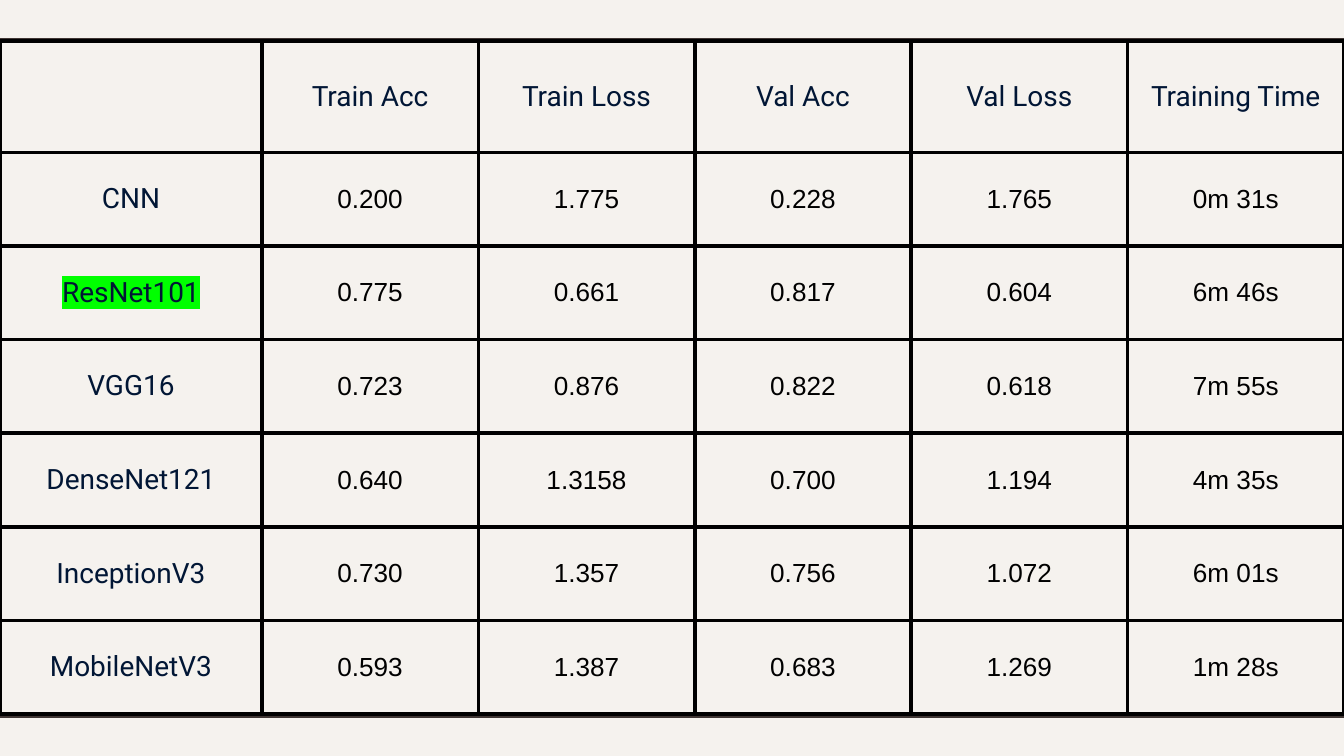
"""Build a slide with a table comparing the training results of six networks."""
import pptx
import pptx.dml.color
import pptx.enum.shapes
import pptx.enum.text
import pptx.oxml
import pptx.oxml.ns
import pptx.util

Cm, Pt = pptx.util.Cm, pptx.util.Pt

ROWS = [
    ("", "Train Acc", "Train Loss", "Val Acc", "Val Loss", "Training Time"),
    ("CNN", "0.200", "1.775", "0.228", "1.765", "0m 31s"),
    ("ResNet101", "0.775", "0.661", "0.817", "0.604", "6m 46s"),
    ("VGG16", "0.723", "0.876", "0.822", "0.618", "7m 55s"),
    ("DenseNet121", "0.640", "1.3158", "0.700", "1.194", "4m 35s"),
    ("InceptionV3", "0.730", "1.357", "0.756", "1.072", "6m 01s"),
    ("MobileNetV3", "0.593", "1.387", "0.683", "1.269", "1m 28s"),
]
BEST = "ResNet101"
PAPER, RULE, GRID, MARK = "F5F2EE", "3F3533", "000000", "00FF00"
HEAD = {"size": Pt(15), "name": "Roboto"}, "011635"
DATA = {"size": Pt(14), "name": "Arial"}, "000000"
CELL = {
    "margin_left": Cm(0.25), "margin_right": Cm(0.25),
    "margin_top": Cm(0.25), "margin_bottom": Cm(0.25),
    "vertical_anchor": pptx.enum.text.MSO_ANCHOR.MIDDLE,
}
WIDE, HIGH, TOP = 25.4, 14.29, 0.77
COLS = [4.95] + [4.09] * 5
TALL = [2.11] + [1.77] * 6
RULES = (0.76, 13.54)
OVER = 0.2


def tint(color, code):
    """Set a colour from a hex string."""
    color.rgb = pptx.dml.color.RGBColor.from_string(code)


def apply(item, style):
    """Set each attribute named in a dict."""
    for key, value in style.items():
        setattr(item, key, value)


def node(tag, inner, attrs=""):
    """Make a drawing element from its tag, content and attributes."""
    space = pptx.oxml.ns.nsdecls("a")
    return pptx.oxml.parse_xml(f"<a:{tag} {space} {attrs}>{inner}</a:{tag}>")


def rule(slide, y):
    """Draw a line across the slide."""
    kind = pptx.enum.shapes.MSO_CONNECTOR.STRAIGHT
    line = slide.shapes.add_connector(kind, Cm(-OVER), Cm(y), Cm(WIDE + OVER), Cm(y))
    line.line.width = Pt(2.25)
    tint(line.line.color, RULE)
    line._element.spPr.append(node("effectLst", ""))


def frame(cell):
    """Give a cell its four borders and no fill."""
    paint = f'<a:solidFill><a:srgbClr val="{GRID}"/></a:solidFill>'
    for side in "LRTB":
        edge = node(f"ln{side}", paint, f'w="{Pt(2.25)}"')
        cell._tc.get_or_add_tcPr().append(edge)
    cell.fill.background()


def write(cell, text, style, code):
    """Put centred text in a cell."""
    para = cell.text_frame.paragraphs[0]
    para.alignment = pptx.enum.text.PP_ALIGN.CENTER
    run = para.add_run()
    run.text = text
    apply(run.font, style)
    tint(run.font.color, code)
    if text == BEST:
        glow = node("highlight", f'<a:srgbClr val="{MARK}"/>')
        run._r.get_or_add_rPr()[0].addnext(glow)


def main():
    """Build and save the slide."""
    deck = pptx.Presentation()
    deck.slide_width, deck.slide_height = Cm(WIDE), Cm(HIGH)
    slide = deck.slides.add_slide(deck.slide_layouts[6])
    slide.background.fill.solid()
    tint(slide.background.fill.fore_color, PAPER)
    for y in RULES:
        rule(slide, y)

    table = slide.shapes.add_table(
        len(ROWS), len(COLS), Cm(0), Cm(TOP), Cm(WIDE), Cm(sum(TALL))
    ).table
    for col, width in zip(table.columns, COLS):
        col.width = Cm(width)
    for row, height in zip(table.rows, TALL):
        row.height = Cm(height)
    for r, row in enumerate(ROWS):
        for c, text in enumerate(row):
            cell = table.cell(r, c)
            apply(cell, CELL)
            frame(cell)
            if text:
                write(cell, text, *(DATA if r and c else HEAD))
    deck.save("out.pptx")


if __name__ == "__main__":
    main()
